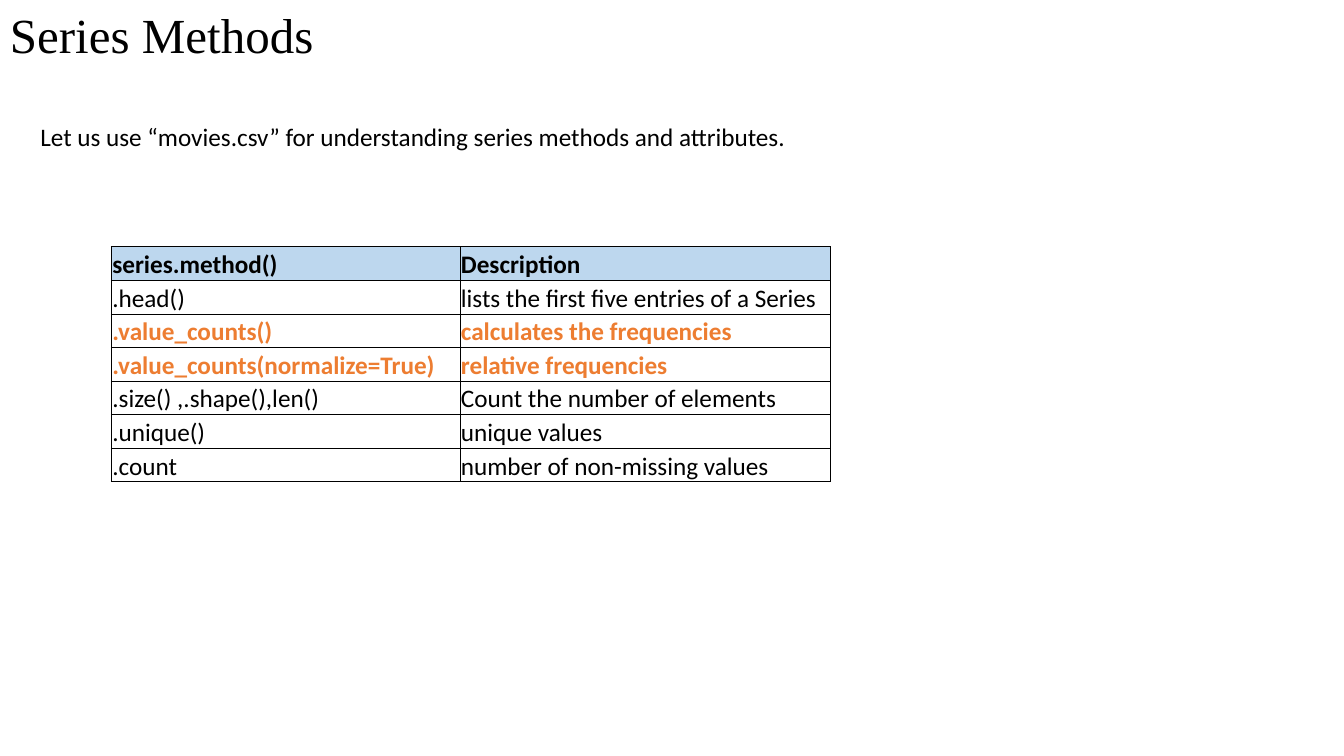
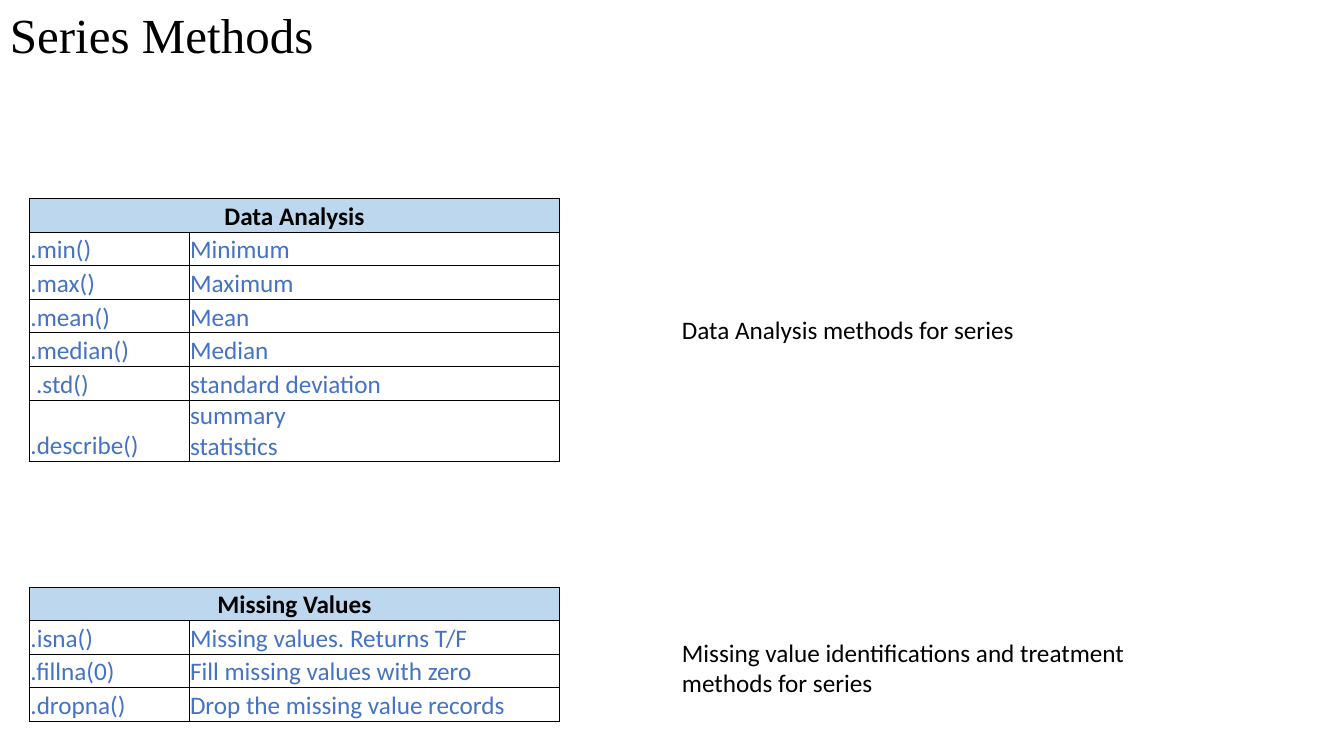
"""Build two slides on pandas Series methods with reference tables."""
from lxml import etree
from pptx import Presentation
from pptx.dml.color import RGBColor
from pptx.enum.text import MSO_ANCHOR as Anchor, MSO_AUTO_SIZE as AutoSize, PP_ALIGN as Align
from pptx.oxml.ns import qn
from pptx.util import Emu, Pt

BLACK, BLUE, ORANGE, HEADER_FILL = "000000", "4472C4", "ED7D31", "BDD7EE"
BODY_FONT, TITLE_FONT = "Calibri", "Times New Roman"
BODY_SIZE, TITLE_SIZE = 18, 35
ROW_HEIGHT = 32
NARROW_COLUMNS = (152, 353)
TITLE = ("Series Methods", (0, 0, 310, 66))

SLIDES = [
    {
        "texts": [
            ("Let us use “movies.csv” for understanding series methods and attributes.",
             (29, 111, 732, 38)),
        ],
        "tables": [
            {
                "at": (106, 235), "columns": (332, 353), "color": BLACK,
                "highlights": (2, 3),
                "rows": [
                    ("series.method()", "Description"),
                    (".head()", "lists the first five entries of a Series"),
                    (".value_counts()", "calculates the frequencies"),
                    (".value_counts(normalize=True)", "relative frequencies"),
                    (".size() ,.shape(),len()", "Count the number of elements"),
                    (".unique()", "unique values"),
                    (".count", "number of non-missing values"),
                ],
            },
        ],
    },
    {
        "texts": [
            ("Data Analysis methods for series", (640, 295, 339, 38)),
            ("Missing value identifications and treatment\nmethods for series",
             (640, 602, 451, 68)),
        ],
        "tables": [
            {
                "at": (28, 189), "columns": NARROW_COLUMNS, "color": BLUE,
                "highlights": (),
                "rows": [
                    ("Data Analysis",),
                    (".min()", "Minimum"),
                    (".max()", "Maximum"),
                    (".mean()", "Mean"),
                    (".median()", "Median"),
                    (" .std()", "standard deviation"),
                    (".describe()", "summary\nstatistics"),
                ],
            },
            {
                "at": (28, 559), "columns": NARROW_COLUMNS, "color": BLUE,
                "highlights": (),
                "rows": [
                    ("Missing Values",),
                    (".isna()", "Missing values. Returns T/F"),
                    (".fillna(0)", "Fill missing values with zero"),
                    (".dropna()", "Drop the missing value records"),
                ],
            },
        ],
    },
]


def px(length):
    return Emu(length * 9525)


def rgb(color):
    return RGBColor.from_string(color)


def style(paragraph, color=BLACK, bold=False, name=BODY_FONT, size=BODY_SIZE):
    font = paragraph.font
    font.name, font.size, font.bold = name, Pt(size), bold
    font.color.rgb = rgb(color)


def add_text(slide, text, box, **look):
    frame = slide.shapes.add_textbox(*map(px, box)).text_frame
    frame.word_wrap = False
    frame.auto_size = AutoSize.SHAPE_TO_FIT_TEXT
    frame.text = text
    for paragraph in frame.paragraphs:
        style(paragraph, **look)


def add_borders(cell):
    properties = cell._tc.get_or_add_tcPr()
    for side in ("lnL", "lnR", "lnT", "lnB"):
        line = etree.SubElement(properties, qn(f"a:{side}"), w=str(Pt(0.5)))
        fill = etree.SubElement(line, qn("a:solidFill"))
        etree.SubElement(fill, qn("a:srgbClr"), val=BLACK)


def format_cell(cell, is_header):
    cell.vertical_anchor = Anchor.BOTTOM
    cell.margin_left = cell.margin_right = cell.margin_top = px(1)
    cell.margin_bottom = 0
    add_borders(cell)
    if is_header:
        cell.fill.solid()
        cell.fill.fore_color.rgb = rgb(HEADER_FILL)
    else:
        cell.fill.background()


def add_method_table(slide, content):
    rows, columns = content["rows"], content["columns"]
    box = (*content["at"], sum(columns), ROW_HEIGHT * len(rows))
    table = slide.shapes.add_table(len(rows), len(columns), *map(px, box)).table
    table.horz_banding = False
    for column, width in zip(table.columns, columns):
        column.width = px(width)
    for row_index, texts in enumerate(rows):
        is_header = row_index == 0
        is_highlight = row_index in content["highlights"]
        color = BLACK if is_header else ORANGE if is_highlight else content["color"]
        cells = list(table.rows[row_index].cells)
        is_merged = len(texts) < len(cells)
        if is_merged:
            cells[0].merge(cells[-1])
        for cell in cells:
            format_cell(cell, is_header)
        for cell, text in zip(cells, texts):
            paragraph = cell.text_frame.paragraphs[0]
            paragraph.text = text
            paragraph.alignment = Align.CENTER if is_merged else Align.LEFT
            style(paragraph, color, is_header or is_highlight)


def main():
    presentation = Presentation()
    presentation.slide_width, presentation.slide_height = px(1280), px(720)
    for content in SLIDES:
        slide = presentation.slides.add_slide(presentation.slide_layouts[6])
        add_text(slide, *TITLE, name=TITLE_FONT, size=TITLE_SIZE)
        for table in content["tables"]:
            add_method_table(slide, table)
        for text, box in content["texts"]:
            add_text(slide, text, box)
    presentation.save("out.pptx")


if __name__ == "__main__":
    main()
